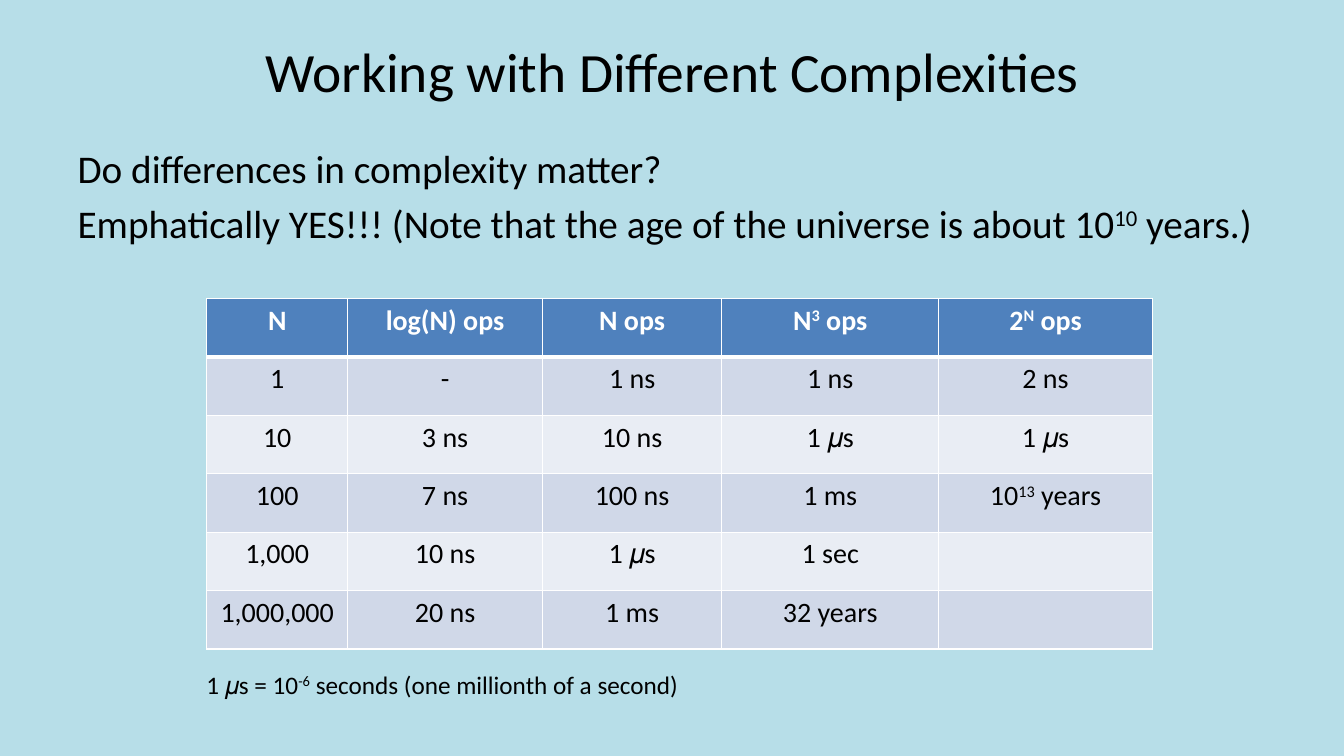
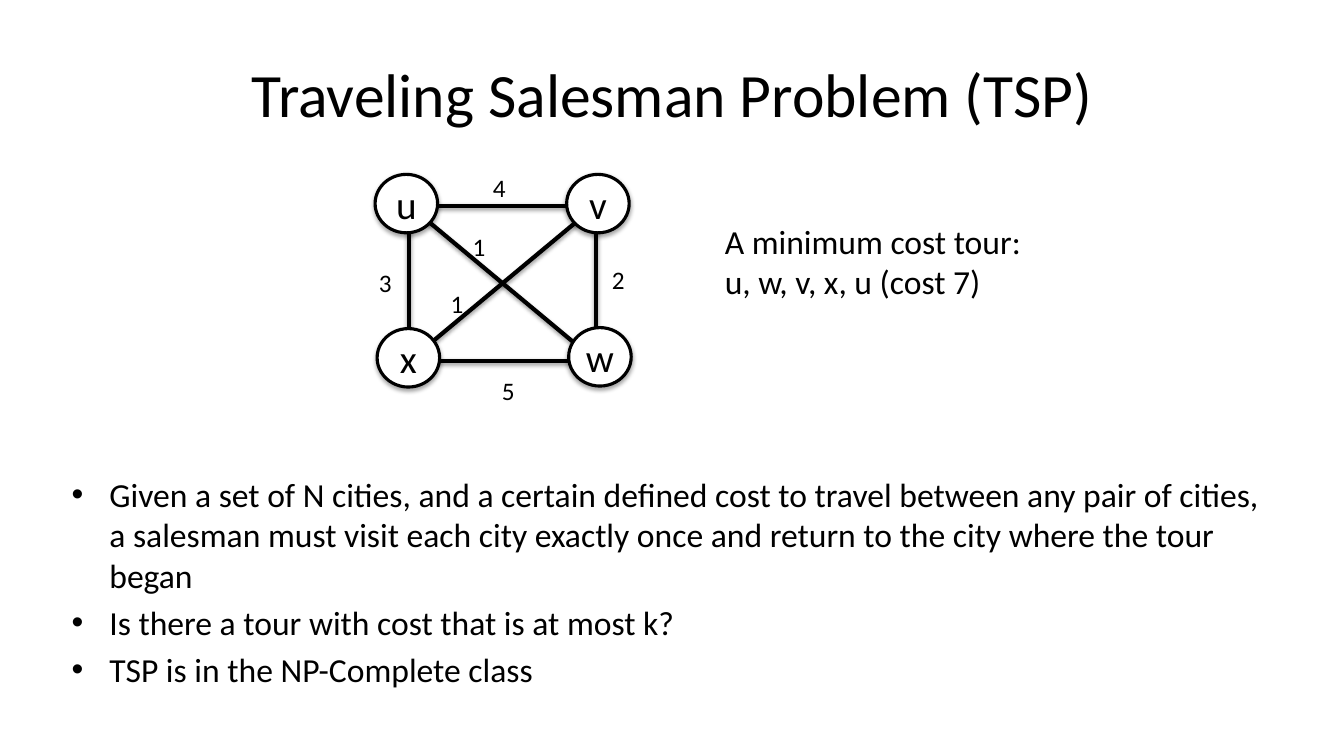
from itertools import combinations

from lxml import etree
from pptx import Presentation
from pptx.dml.color import RGBColor
from pptx.enum import shapes, text
from pptx.oxml.ns import qn
from pptx.util import Inches, Pt

FONT, BLACK, WHITE = "Calibri", "000000", "FFFFFF"
HEAD, BANDS = "4F81BD", ("D0D8E8", "E9EDF4")
CENTER = text.PP_ALIGN.CENTER

# Text between bars is raised.
TITLE1 = "Working with Different Complexities"
BODY1 = [
    "Do differences in complexity matter?",
    "Emphatically YES!!! (Note that the age of the universe is about 10|10| years.)",
]
COLS = [1.4, 1.93, 1.78, 2.15, 2.12]
ROWS = [
    ("N", "log(N) ops", "N ops", "N|3| ops", "2|N| ops"),
    ("1", "-", "1 ns", "1 ns", "2 ns"),
    ("10", "3 ns", "10 ns", "1 𝜇s", "1 𝜇s"),
    ("100", "7 ns", "100 ns", "1 ms", "10|13| years"),
    ("1,000", "10 ns", "1 𝜇s", "1 sec", ""),
    ("1,000,000", "20 ns", "1 ms", "32 years", ""),
]
NOTE = "1 𝜇s = 10|-6| seconds (one millionth of a second)"

TITLE2 = "Traveling Salesman Problem (TSP)"
BODY2 = [
    "Given a set of N cities, and a certain defined cost to travel between any "
    "pair of cities, a salesman must visit each city exactly once and return to "
    "the city where the tour began",
    "Is there a tour with cost that is at most k?",
    "TSP is in the NP-Complete class",
]
ENDS = {"u": (4.06, 2.04), "v": (5.91, 2.04), "x": (4.06, 3.58), "w": (5.91, 3.58)}
NODES = {"u": (3.72, 1.73), "x": (3.74, 3.26), "v": (5.62, 1.73), "w": (5.64, 3.25)}
COSTS = [("4", 4.79, 1.66), ("3", 3.66, 2.6), ("2", 5.97, 2.57),
         ("5", 4.88, 3.67), ("1", 4.37, 2.81), ("1", 4.59, 2.25)]
TOUR = ["A minimum cost tour:", "u, w, v, x, u (cost 7)"]


def rgb(color):
    return RGBColor.from_string(color)


def inches(*sizes):
    return [Inches(size) for size in sizes]


def write(frame, lines, size, color=BLACK, align=None, bold=None, plain=False):
    """Fill a text frame; plain drops the bullets of a list."""
    for i, line in enumerate(lines):
        para = frame.paragraphs[0] if i == 0 else frame.add_paragraph()
        if plain:
            props = para._p.get_or_add_pPr()
            props.set("marL", "0")
            props.set("indent", "0")
            etree.SubElement(props, qn("a:buNone"))
        if i == 0:
            para.space_before = Pt(0)
        if align is not None:
            para.alignment = align
        font = para.font
        font.name, font.size, font.bold = FONT, Pt(size), bold
        font.color.rgb = rgb(color)
        for j, part in enumerate(line.split("|")):
            if part:
                run = para.add_run()
                run.text = part
                if j % 2:
                    run.font._element.set("baseline", "30000")


def place(holder, box):
    holder.left, holder.top, holder.width, holder.height = inches(*box)
    holder.text_frame.auto_size = text.MSO_AUTO_SIZE.NONE
    return holder.text_frame


def start(deck, back, title, size, spot, body, points, area, plain=False):
    """Add a slide with its background, title and body."""
    slide = deck.slides.add_slide(deck.slide_layouts[1])
    slide.background.fill.solid()
    slide.background.fill.fore_color.rgb = rgb(back)
    write(place(slide.shapes.title, spot), [title], size, align=CENTER)
    write(place(slide.placeholders[1], area), body, points, plain=plain)
    return slide


def label(slide, lines, size, box):
    frame = slide.shapes.add_textbox(*inches(*box)).text_frame
    frame.word_wrap = False
    frame.auto_size = text.MSO_AUTO_SIZE.SHAPE_TO_FIT_TEXT
    write(frame, lines, size)


def shade(shape, alpha, dist):
    """Give a soft shadow straight below the shape."""
    effects = etree.SubElement(shape._element.spPr, qn("a:effectLst"))
    outer = etree.SubElement(effects, qn("a:outerShdw"), blurRad=str(Pt(3.1)),
                             dist=str(Pt(dist)), dir="5400000", rotWithShape="0")
    color = etree.SubElement(outer, qn("a:srgbClr"), val=BLACK)
    etree.SubElement(color, qn("a:alpha"), val=str(alpha * 1000))


def border(cell, widths):
    props = cell._tc.get_or_add_tcPr()
    for side, width in zip("LRTB", widths):
        line = etree.SubElement(props, qn("a:ln" + side), w=str(Pt(width)))
        fill = etree.SubElement(line, qn("a:solidFill"))
        etree.SubElement(fill, qn("a:srgbClr"), val=WHITE)


def grid(slide):
    box = inches(2.05, 2.96, sum(COLS), 0.58 * len(ROWS))
    table = slide.shapes.add_table(len(ROWS), len(COLS), *box).table
    for col, width in zip(table.columns, COLS):
        col.width = Inches(width)
    for r, row in enumerate(ROWS):
        table.rows[r].height = Inches(0.58)
        top = r == 0
        for c, entry in enumerate(row):
            cell = table.cell(r, c)
            border(cell, (1, 1, 3 if r == 1 else 1, 3 if top else 1))
            cell.fill.solid()
            cell.fill.fore_color.rgb = rgb(HEAD if top else BANDS[(r - 1) % 2])
            write(cell.text_frame, [entry], 20, WHITE if top else BLACK, CENTER, top)


def graph(slide):
    for a, b in combinations(ENDS.values(), 2):
        edge = slide.shapes.add_connector(shapes.MSO_CONNECTOR.STRAIGHT, *inches(*a, *b))
        edge.line.color.rgb = rgb(BLACK)
        edge.line.width = Pt(3)
        shade(edge, 38, 1.6)
    for name, spot in NODES.items():
        node = slide.shapes.add_shape(shapes.MSO_SHAPE.OVAL, *inches(*spot, 0.62, 0.58))
        node.fill.solid()
        node.fill.fore_color.rgb = rgb(WHITE)
        node.line.color.rgb = rgb(BLACK)
        node.line.width = Pt(2.25)
        shade(node, 35, 1.8)
        frame = node.text_frame
        frame.word_wrap = False
        frame.vertical_anchor = text.MSO_ANCHOR.MIDDLE
        frame.margin_left = frame.margin_right = 0
        frame.margin_top = frame.margin_bottom = 0
        write(frame, [name], 28, align=CENTER)
    for cost, left, top in COSTS:
        label(slide, [cost], 18, (left, top, 0.33, 0.4))


def main():
    deck = Presentation()
    deck.slide_width, deck.slide_height = inches(13.33, 7.5)

    slide = start(deck, "B7DEE8", TITLE1, 39.6, (2.17, 0.07, 9, 1.25),
                  BODY1, 28, (0.67, 1.38, 12, 1.69), plain=True)
    grid(slide)
    label(slide, [NOTE], 18, (1.95, 6.59, 4.96, 0.4))

    slide = start(deck, WHITE, TITLE2, 44, (0.67, 0.3, 12, 1.25),
                  BODY2, 24, (0.61, 4.65, 12, 2.84))
    graph(slide)
    label(slide, TOUR, 24, (7.09, 2.14, 3.16, 0.91))

    deck.save("out.pptx")


if __name__ == "__main__":
    main()
